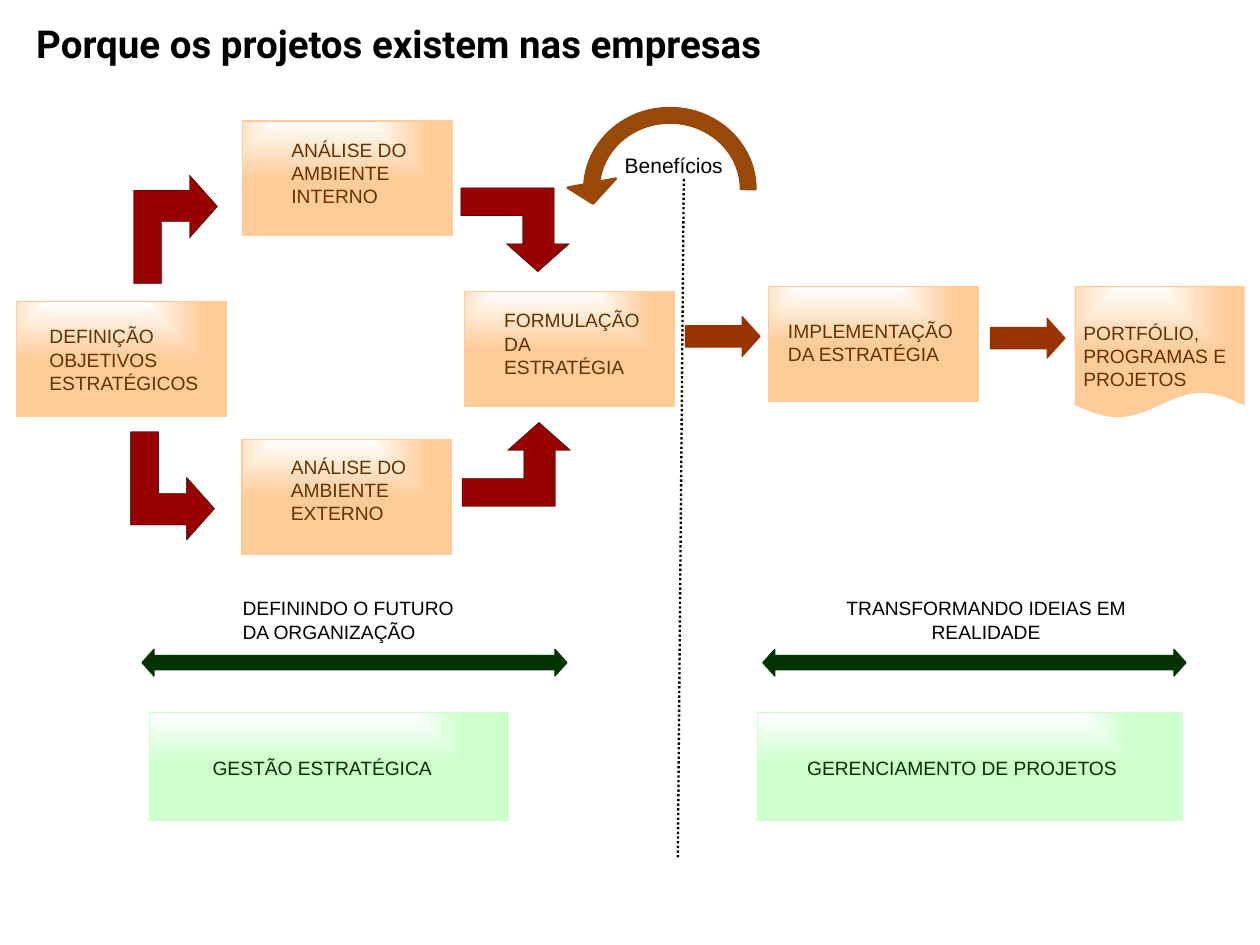
import math

from lxml import etree
from pptx import Presentation
from pptx.dml.color import RGBColor
from pptx.enum import dml, shapes, text
from pptx.oxml import ns
from pptx.util import Pt

BLACK = RGBColor(0x00, 0x00, 0x00)
WHITE = RGBColor(0xFF, 0xFF, 0xFF)
PEACH = RGBColor(0xFF, 0xCC, 0x99)
BROWN = RGBColor(0x66, 0x33, 0x00)
MINT = RGBColor(0xCC, 0xFF, 0xCC)
GREEN = RGBColor(0x00, 0x33, 0x00)
RED = RGBColor(0x99, 0x00, 0x00)
RUST = RGBColor(0x99, 0x33, 0x00)
BRONZE = RGBColor(0x98, 0x48, 0x07)

LEFT, CENTER = text.PP_ALIGN.LEFT, text.PP_ALIGN.CENTER
SHAPE = shapes.MSO_SHAPE
STEP_SIZE = (180, 98.5)
ELBOW_SIZE = (93, 72)
ELBOW = [(66, 0), (39, 24), (53, 24), (53, 48), (0, 48),
         (0, 72), (80, 72), (80, 24), (93, 24)]


def set_font(font, **values):
    color = values.pop("color", BLACK)
    for name, value in values.items():
        setattr(font, name, value)
    font.color.rgb = color


def paint(shape, fill, line, width):
    shape.shadow.inherit = False
    shape.fill.solid()
    shape.fill.fore_color.rgb = fill
    shape.line.color.rgb = line
    shape.line.width = Pt(width)


def glaze(shape, color):
    """Fill with a white glow from the top that fades into the colour."""
    shape.shadow.inherit = False
    gradient = etree.Element(ns.qn("a:gradFill"), rotWithShape="1")
    stops = etree.SubElement(gradient, ns.qn("a:gsLst"))
    for position, stop_color in (("0", WHITE), ("100000", color)):
        stop = etree.SubElement(stops, ns.qn("a:gs"), pos=position)
        etree.SubElement(stop, ns.qn("a:srgbClr"), val=str(stop_color))
    glow = etree.SubElement(gradient, ns.qn("a:path"))
    glow.set("path", "rect")
    etree.SubElement(glow, ns.qn("a:fillToRect"),
                     l="38000", t="-20000", r="62000", b="120000")
    shape._element.spPr.find(ns.qn("a:effectLst")).addprevious(gradient)
    shape.line.color.rgb = color
    shape.line.width = Pt(1)


def add_outline(page, points):
    corners = [(Pt(x), Pt(y)) for x, y in points]
    builder = page.shapes.build_freeform(*corners[0], scale=1.0)
    builder.add_line_segments(corners[1:], close=True)
    return builder.convert_to_shape()


def add_label(page, left, top, width, lines, color=BLACK, align=LEFT, size=16.5):
    pitch = 20 if size < 18 else 21
    box = page.shapes.add_textbox(Pt(left), Pt(top), Pt(width), Pt(pitch * len(lines)))
    frame = box.text_frame
    frame.word_wrap = True
    for side in ("left", "top", "right", "bottom"):
        setattr(frame, f"margin_{side}", 0)
    for index, line in enumerate(lines):
        para = frame.add_paragraph() if index else frame.paragraphs[0]
        para.alignment = align
        para.line_spacing = Pt(pitch)
        span = para.add_run()
        span.text = line
        set_font(span.font, name="Arial", size=Pt(size), color=color)


def add_panel(page, box, inset, lines, fill, color):
    left, top, width, height = box
    panel = page.shapes.add_shape(SHAPE.RECTANGLE, *map(Pt, box))
    glaze(panel, fill)
    add_label(page, left + inset[0], top + inset[1], width - inset[0], lines, color)


def add_document(page, box, inset, lines, wave=10.4):
    """Panel whose lower edge is one full wave."""
    left, top, width, height = box
    edge = [(left + width * i / 40,
             top + height - wave + wave * math.sin(math.tau * i / 40))
            for i in range(40, -1, -1)]
    glaze(add_outline(page, [(left, top), (left + width, top)] + edge), PEACH)
    add_label(page, left + inset[0], top + inset[1], width - inset[0], lines, BROWN)


def add_elbow(page, left, top, turned, mirrored):
    """Bent arrow: up, or right when turned; mirrored across its long axis end."""
    long_side, short_side = ELBOW_SIZE
    points = []
    for x, y in ELBOW:
        if turned:
            x, y = short_side - y, long_side - x if mirrored else x
        elif mirrored:
            y = short_side - y
        points.append((left + x, top + y))
    paint(add_outline(page, points), RED, BLACK, 0.25)


def add_arrow(page, kind, box, color):
    arrow = page.shapes.add_shape(kind, *map(Pt, box))
    arrow.adjustments[0], arrow.adjustments[1] = 0.54, 0.45
    paint(arrow, color, color, 1)


def add_title(page, box, words):
    title = page.shapes.title
    title.left, title.top, title.width, title.height = map(Pt, box)
    frame = title.text_frame
    frame.auto_size = text.MSO_AUTO_SIZE.NONE
    frame.vertical_anchor = text.MSO_ANCHOR.TOP
    para = frame.paragraphs[0]
    para.alignment = LEFT
    span = para.add_run()
    span.text = words
    set_font(span.font, name="Roboto", size=Pt(33), bold=True)


def add_benefits(page, box):
    """Return arrow with its caption, above the dividing line."""
    left, top, width, height = box
    arc = page.shapes.add_shape(SHAPE.CIRCULAR_ARROW, *map(Pt, box))
    for index, value in enumerate((0.074, 9.041, 213.389, 108, 0.125)):
        arc.adjustments[index] = value
    arc._element.spPr.find(ns.qn("a:xfrm")).set("flipH", "1")
    paint(arc, BRONZE, BRONZE, 2.13)
    add_label(page, left + 31.5, top + 53.3, 120, ["Benefícios"], align=CENTER, size=18)


def add_divider(page, start, end):
    line = page.shapes.add_connector(shapes.MSO_CONNECTOR.STRAIGHT,
                                     *map(Pt, start + end))
    line.line.color.rgb = BLACK
    line.line.width = Pt(2)
    line.line.dash_style = dml.MSO_LINE.ROUND_DOT
    etree.SubElement(line._element.spPr, ns.qn("a:effectLst"))


def add_strategy_flow(page):
    steps = [
        ((14.4, 258.5), (28, 19.4), ["DEFINIÇÃO", "OBJETIVOS", "ESTRATÉGICOS"]),
        ((207.8, 103.7), (42, 14.4), ["ANÁLISE DO", "AMBIENTE", "INTERNO"]),
        ((207.4, 376.6), (42, 13), ["ANÁLISE DO", "AMBIENTE", "EXTERNO"]),
        ((398.2, 249.8), (34, 14.4), ["FORMULAÇÃO", "DA", "ESTRATÉGIA"]),
        ((658.8, 245.5), (16.6, 28), ["IMPLEMENTAÇÃO", "DA ESTRATÉGIA"]),
    ]
    for place, inset, lines in steps:
        add_panel(page, place + STEP_SIZE, inset, lines, PEACH, BROWN)
    add_document(page, (921.6, 245.5, 144.7, 111.6), (7, 29.5),
                 ["PORTFÓLIO,", "PROGRAMAS E", "PROJETOS"])
    for left, top in ((848.9, 272.9), (587.5, 271.4)):
        add_arrow(page, SHAPE.RIGHT_ARROW, (left, top, 64, 34), RUST)
    for left, top, turned, mirrored in ((396, 362, False, False), (395, 161, False, True),
                                        (114.5, 150, True, True), (112, 370, True, False)):
        add_elbow(page, left, top, turned, mirrored)


def add_phase(page, span, caption, panel, inset, name):
    """Caption, double arrow and green panel; each given as left and width."""
    left, width, lines, align = caption
    add_label(page, left, 511.2, width, lines, align=align)
    add_arrow(page, SHAPE.LEFT_RIGHT_ARROW, (span[0], 556.5, span[1], 23), GREEN)
    add_panel(page, (panel[0], 610.6, panel[1], 92.2), (inset, 37.4), [name], MINT, GREEN)


def main():
    deck = Presentation()
    deck.slide_width, deck.slide_height = Pt(1080), Pt(810)
    page = deck.slides.add_slide(deck.slide_layouts[5])
    add_title(page, (23.8, 13.7, 912.2, 78.5), "Porque os projetos existem nas empresas")
    add_benefits(page, (486, 77.8, 176.4, 168.5))
    add_divider(page, (586.1, 153.4), (581, 736.6))
    add_strategy_flow(page)
    add_phase(page, (121.7, 364.3), (208, 187, ["DEFININDO O FUTURO", "DA ORGANIZAÇÃO"], LEFT),
              (128.2, 307.4), 54, "GESTÃO ESTRATÉGICA")
    add_phase(page, (653.8, 362.8),
              (720.7, 249, ["TRANSFORMANDO IDEIAS EM", "REALIDADE"], CENTER),
              (649.4, 364.3), 42.5, "GERENCIAMENTO DE PROJETOS")
    deck.save("out.pptx")


if __name__ == "__main__":
    main()
